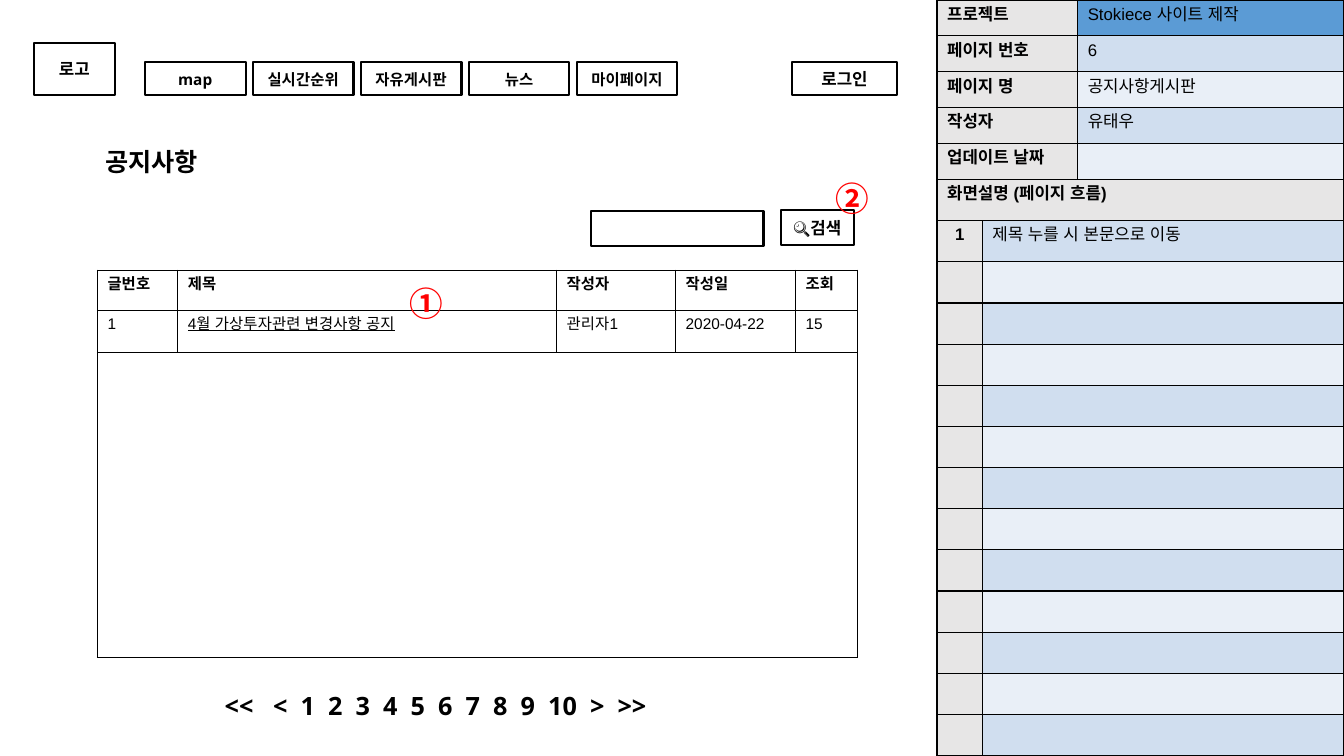
from lxml import etree
from pptx import Presentation
from pptx.dml.color import RGBColor
from pptx.enum import shapes, text
from pptx.oxml.ns import qn
from pptx.util import Pt

BLACK, GREY, WHITE, RED = "000000", "E7E6E6", "FFFFFF", "FF0000"
BANDS = ["D0DEEF", "E9EFF7"]
LEFT, CENTER = text.PP_ALIGN.LEFT, text.PP_ALIGN.CENTER


def style(p, size, name="Open Sans", bold=True, color=BLACK, align=LEFT):
    p.alignment = align
    p.font.size, p.font.name, p.font.bold = Pt(size), name, bold
    p.font.color.rgb = RGBColor.from_string(color)
    etree.SubElement(p.font._element, qn("a:ea")).set("typeface", name)


def add_grid(x, y, cols, rows, size, cells):
    frame = s.shapes.add_table(len(rows), len(cols), Pt(x), Pt(y), Pt(sum(cols)), Pt(sum(rows)))
    tbl = frame.table
    for col, width in zip(tbl.columns, cols):
        col.width = Pt(width)
    for row, height in zip(tbl.rows, rows):
        row.height = Pt(height)
    for i, row in enumerate(cells):
        for j, (label, fill, bold) in enumerate(row):
            cell = tbl.cell(i, j)
            cell.text = label
            style(cell.text_frame.paragraphs[0], size, "Arial", bold)
            tcPr = cell._tc.get_or_add_tcPr()
            for side in ("a:lnL", "a:lnR", "a:lnT", "a:lnB"):
                ln = etree.SubElement(tcPr, qn(side), w="12700")
                solid = etree.SubElement(ln, qn("a:solidFill"))
                etree.SubElement(solid, qn("a:srgbClr"), val=BLACK)
            cell.fill.solid()
            cell.fill.fore_color.rgb = RGBColor.from_string(fill)
    return tbl


prs = Presentation()
prs.slide_width, prs.slide_height = Pt(960), Pt(540)
s = prs.slides.add_slide(prs.slide_layouts[6])

info = [
    ("프로젝트", "Stokiece 사이트 제작"),
    ("페이지 번호", "6"),
    ("페이지 명", "공지사항게시판"),
    ("작성자", "유태우"),
    ("업데이트 날짜", ""),
]
info_fills = ["5B9BD5"] + BANDS * 2
add_grid(669.3, 0, [100.5, 190.2], [25.64] * 5, 12,
         [[(key, GREY, True), (value, fill, False)]
          for (key, value), fill in zip(info, info_fills)])

notes = [("1", "제목 누를 시 본문으로 이동")] + [("", "")] * 12
flow = add_grid(669.3, 128.2, [32.4, 258.3], [29.41] * 14, 12,
                [[("화면설명 (페이지 흐름)", GREY, True), ("", GREY, True)]]
                + [[(num, GREY, True), (note, BANDS[i % 2], False)]
                   for i, (num, note) in enumerate(notes)])
flow.cell(0, 0).merge(flow.cell(0, 1))
flow.cell(1, 0).text_frame.paragraphs[0].alignment = CENTER

heads = ["글번호", "제목", "작성자", "작성일", "조회"]
post = ["1", "4월 가상투자관련 변경사항 공지", "관리자1", "2020-04-22", "15"]
board = add_grid(69.6, 193, [57.4, 270.6, 85, 85.7, 44.3], [28.6, 30.2, 218], 11,
                 [[(h, WHITE, True) for h in heads],
                  [(v, WHITE, False) for v in post],
                  [("", WHITE, False)] * 5])
board.cell(2, 0).merge(board.cell(2, 4))
board.cell(1, 1).text_frame.paragraphs[0].font.underline = True

menu = ["map", "실시간순위", "자유게시판", "뉴스", "마이페이지"]
boxes = [
    ("로고", 24, 30.7, 58.3, 37.2, 12),
    ("로그인", 565.8, 44.6, 75, 23.6, 12),
    ("🔍검색", 557.8, 150, 52.2, 25, 12),
    ("", 422, 150.6, 123.4, 25, 12),
] + [(name, 103.5 + 77.1 * i, 44.6, 72, 23.6, 11) for i, name in enumerate(menu)]
for label, x, y, w, h, size in boxes:
    sp = s.shapes.add_shape(shapes.MSO_SHAPE.RECTANGLE, Pt(x), Pt(y), Pt(w), Pt(h))
    sp.shadow.inherit = False
    sp.fill.background()
    sp.line.color.rgb = RGBColor.from_string(BLACK)
    sp.line.width = Pt(1.5)
    tf = sp.text_frame
    tf.word_wrap = False
    tf.vertical_anchor = text.MSO_ANCHOR.MIDDLE
    tf.text = label
    style(tf.paragraphs[0], size, align=CENTER)

labels = [
    ("공지사항", 43.2, 102.2, 130.3, 26.6, 18, "Open Sans", BLACK, CENTER),
    ("", 153.4, 490.3, 351.4, 26.6, 18, "Open Sans", BLACK, LEFT),
    ("①", 285.8, 198.7, 43.2, 36, 24, "Noto Sans CJK KR", RED, LEFT),
    ("②", 589.7, 123.8, 37.4, 36, 24, "Noto Sans CJK KR", RED, LEFT),
]
for label, x, y, w, h, size, name, color, align in labels:
    tf = s.shapes.add_textbox(Pt(x), Pt(y), Pt(w), Pt(h)).text_frame
    tf.word_wrap = True
    tf.vertical_anchor = text.MSO_ANCHOR.MIDDLE
    p = tf.paragraphs[0]
    style(p, size, name, color=color, align=align)
    if label:
        p.add_run().text = label
        continue
    pages = ["<<", "<", *map(str, range(1, 11)), ">", ">>"]
    for i, page in enumerate(pages):
        if i:
            r = p.add_run()
            r.text = " "
            r._r.get_or_add_rPr().set("spc", "940" if i == 1 else "470")
        p.add_run().text = page

prs.save("out.pptx")
